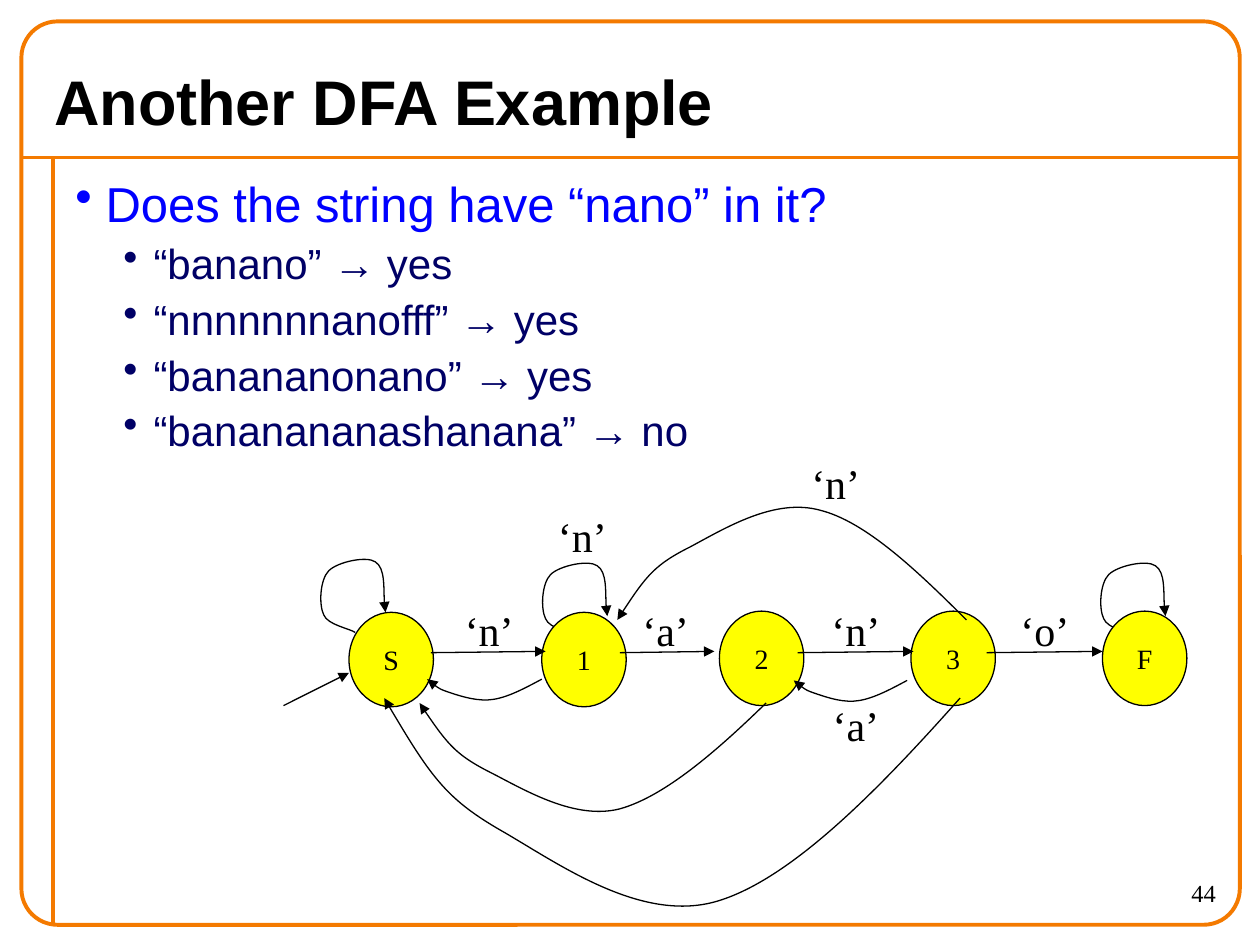
from dataclasses import dataclass

from lxml import etree
from pptx import Presentation
from pptx.dml.color import RGBColor
from pptx.enum.shapes import MSO_CONNECTOR, MSO_SHAPE
from pptx.enum.text import MSO_ANCHOR, MSO_AUTO_SIZE, PP_ALIGN
from pptx.oxml.ns import qn
from pptx.util import Pt

STRAIGHT = MSO_CONNECTOR.STRAIGHT
ELLIPSE, ROUNDED = MSO_SHAPE.OVAL, MSO_SHAPE.ROUNDED_RECTANGLE
MIDDLE, TOP = MSO_ANCHOR.MIDDLE, MSO_ANCHOR.TOP
LEFT, CENTER, RIGHT = PP_ALIGN.LEFT, PP_ALIGN.CENTER, PP_ALIGN.RIGHT
NO_FIT, GROW = MSO_AUTO_SIZE.NONE, MSO_AUTO_SIZE.SHAPE_TO_FIT_TEXT

EMU_PER_PX = 9144  # 100 px to the inch
COLORS = {"frame": "F47A00", "ink": "000000", "state": "FFFF00",
          "question": "0000FF", "answer": "000066"}
SANS, SERIF = "Arial", "Times New Roman"

Point = tuple[int, int]


@dataclass(frozen=True)
class State:
    name: str
    left: int
    top: int


@dataclass(frozen=True)
class Label:
    text: str
    left: int
    top: int
    width: int


@dataclass(frozen=True)
class Arc:
    """A curve running left from start; a negative height bends it upwards."""
    start: Point
    width: int
    height: int


@dataclass(frozen=True)
class Bullet:
    text: str
    color: str
    size: int
    level: int
    margin: int
    before: int


STATES = [State("S", 277, 486), State("1", 430, 486), State("2", 571, 485),
          State("3", 723, 485), State("F", 875, 485)]
LABELS = [Label("‘n’", 359, 475, 59), Label("‘a’", 500, 475, 57),
          Label("‘n’", 650, 475, 59), Label("‘o’", 800, 475, 59),
          Label("‘n’", 433, 400, 59), Label("‘n’", 634, 358, 59),
          Label("‘a’", 651, 550, 57)]
ARROWS = [((225, 560), (277, 534)), ((342, 518), (433, 517)),
          ((492, 518), (567, 517)), ((633, 518), (725, 517)),
          ((783, 518), (875, 517))]
ARCS = [Arc((720, 540), 90, 18), Arc((430, 539), 91, 18),
        Arc((767, 492), 277, -97), Arc((608, 558), 275, 93),
        Arc((762, 554), 457, 179)]
LOOP_STARTS = [(282, 502), (458, 505), (901, 505)]

# Bezier points relative to the start: percent of the size, and px
ARC_POINTS = [(14, 40), (29, 80), (42, 90), (55, 100), (69, 75), (79, 60),
              (89, 45), (92, 35), (100, 0)]
LOOP_POINTS = [(-4, -3), (-22, -6), (-25, -14), (-29, -22), (-28, -42),
               (-21, -49), (-14, -56), (9, -61), (16, -56), (24, -51),
               (22, -25), (24, -16)]

ANSWERS = ["“banano” → yes", "“nnnnnnnanofff” → yes",
           "“banananonano” → yes", "“bananananashanana” → no"]
BULLETS = [Bullet("Does the string have “nano” in it?", "question", 28, 0, 24, 0)]
BULLETS += [Bullet(text, "answer", 24, 1, 62, 3) for text in ANSWERS]


def px(length: int) -> int:
    return length * EMU_PER_PX


def rgb(name: str) -> RGBColor:
    return RGBColor.from_string(COLORS[name])


def apply(target, **values) -> None:
    for name, value in values.items():
        setattr(target, name, value)


def set_line(shape, color: str = "ink", width: float = 0.75) -> None:
    shape.line.color.rgb = rgb(color)
    shape.line.width = Pt(width)


def add_head(shape) -> None:
    line = shape.element.spPr.find(qn("a:ln"))
    etree.SubElement(line, qn("a:tailEnd"), type="triangle")


def write(shape, text: str, size: int, font: str = SERIF, align=LEFT,
          anchor=TOP, wrap: bool = True, fit=NO_FIT, bold: bool = False) -> None:
    frame = shape.text_frame
    frame.text = text
    apply(frame, vertical_anchor=anchor, word_wrap=wrap, auto_size=fit)
    para = frame.paragraphs[0]
    para.alignment = align
    span = para.runs[0]
    apply(span.font, name=font, size=Pt(size), bold=bold)
    span.font.color.rgb = rgb("ink")


def add_line(page, start: Point, end: Point, color: str = "ink",
             width: float = 0.75):
    line = page.shapes.add_connector(STRAIGHT, *map(px, (*start, *end)))
    set_line(line, color, width)
    etree.SubElement(line.element.spPr, qn("a:effectLst"))
    return line


def add_curve(page, start: Point, offsets: list[Point]) -> None:
    points = [(start[0] + dx, start[1] + dy) for dx, dy in offsets]
    builder = page.shapes.build_freeform(*start, scale=EMU_PER_PX)
    builder.add_line_segments(points, close=False)
    curve = builder.convert_to_shape()
    # Every three straight segments become one cubic curve
    segments = list(curve.element.iter(qn("a:lnTo")))
    for first in range(0, len(segments), 3):
        group = segments[first:first + 3]
        bezier = etree.Element(qn("a:cubicBezTo"))
        group[0].addprevious(bezier)
        for segment in group:
            bezier.append(segment[0])
            segment.getparent().remove(segment)
    curve.fill.background()
    curve.shadow.inherit = False
    set_line(curve)
    add_head(curve)


def add_arc(page, arc: Arc) -> None:
    add_curve(page, arc.start, [(round(-arc.width * x / 100),
                                 round(arc.height * y / 100))
                                for x, y in ARC_POINTS])


def add_state(page, state: State) -> None:
    circle = page.shapes.add_shape(
        ELLIPSE, *map(px, (state.left, state.top, 67, 75)))
    circle.shadow.inherit = False
    circle.fill.solid()
    circle.fill.fore_color.rgb = rgb("state")
    set_line(circle)
    write(circle, state.name, 16, align=CENTER, anchor=MIDDLE, wrap=False)


def add_label(page, label: Label) -> None:
    box = page.shapes.add_textbox(
        *map(px, (label.left, label.top, label.width, 50)))
    write(box, label.text, 24, wrap=False, fit=GROW)


def add_bullet(para, bullet: Bullet) -> None:
    para.level = bullet.level
    para.space_before = Pt(bullet.before)
    props = para._p.get_or_add_pPr()
    props.set("marL", str(px(bullet.margin)))
    props.set("indent", str(px(-24)))
    color = etree.SubElement(props, qn("a:buClr"))
    etree.SubElement(color, qn("a:srgbClr"), val=COLORS[bullet.color])
    etree.SubElement(props, qn("a:buChar"), char="•")
    span = para.add_run()
    span.text = bullet.text
    apply(span.font, name=SANS, size=Pt(bullet.size))
    span.font.color.rgb = rgb(bullet.color)


def add_frame(page) -> None:
    add_line(page, (17, 125), (983, 125), "frame", 2.25)
    add_line(page, (42, 125), (42, 733), "frame", 2.25)
    border = page.shapes.add_shape(ROUNDED, *map(px, (17, 17, 967, 717)))
    border.adjustments[0] = 0.04
    border.fill.background()
    border.shadow.inherit = False
    set_line(border, "frame", 2.25)


def main() -> None:
    deck = Presentation()
    apply(deck, slide_width=px(1000), slide_height=px(750))
    page = deck.slides.add_slide(deck.slide_layouts[5])
    add_frame(page)

    # Title, page number and bullets
    title = page.shapes.title
    apply(title, left=px(33), top=px(42), width=px(933), height=px(75))
    write(title, "Another DFA Example", 36, SANS, anchor=MIDDLE, bold=True)
    number = page.shapes.add_textbox(*map(px, (875, 692, 100, 42)))
    write(number, "44", 14, align=RIGHT)
    body = page.shapes.add_textbox(*map(px, (50, 133, 925, 600))).text_frame
    body.word_wrap = True
    for index, bullet in enumerate(BULLETS):
        para = body.add_paragraph() if index else body.paragraphs[0]
        add_bullet(para, bullet)

    # State diagram
    for start in LOOP_STARTS:
        add_curve(page, start, LOOP_POINTS)
    for state in STATES:
        add_state(page, state)
    for label in LABELS:
        add_label(page, label)
    for start, end in ARROWS:
        add_head(add_line(page, start, end))
    for arc in ARCS:
        add_arc(page, arc)

    deck.save("out.pptx")


if __name__ == "__main__":
    main()
